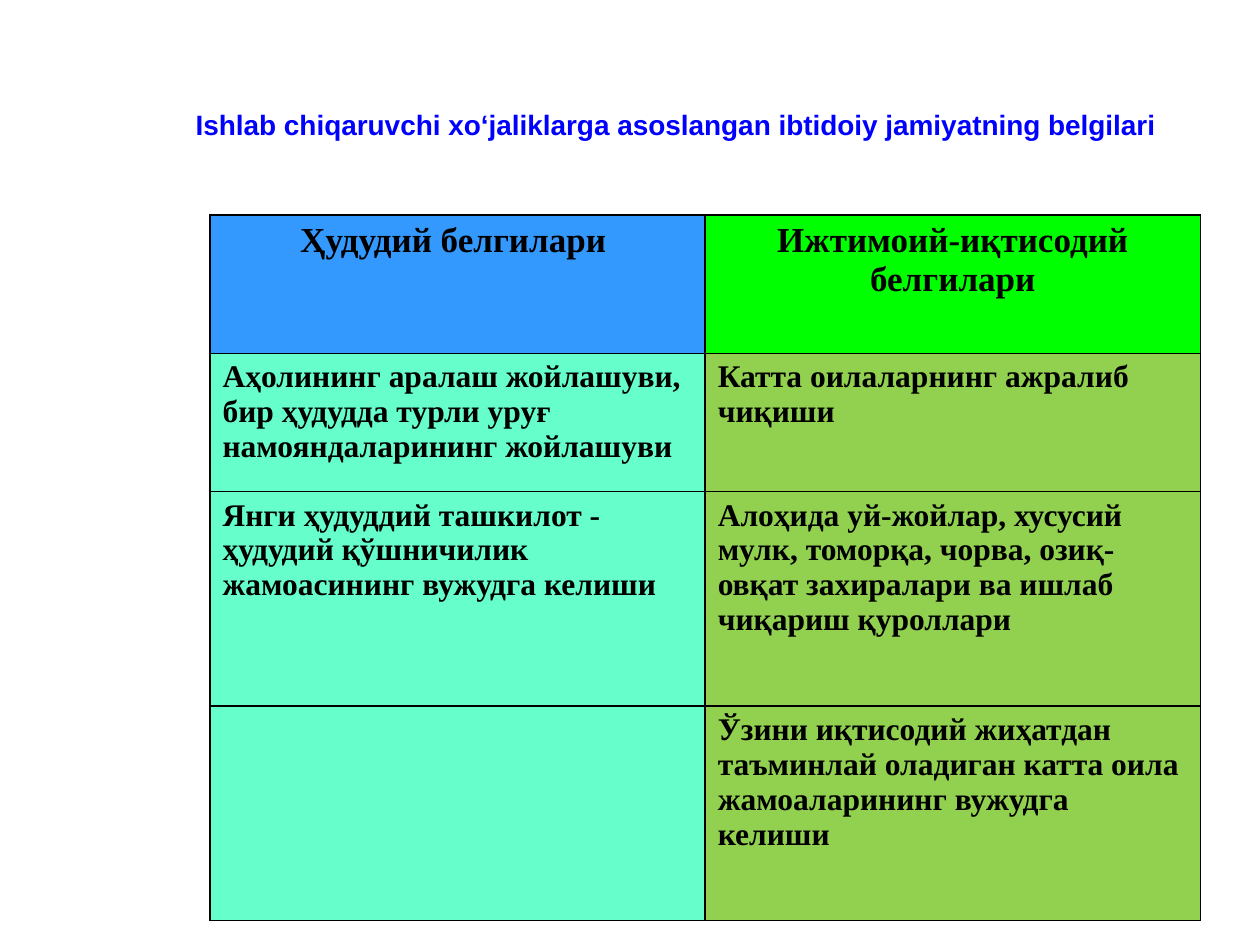
from dataclasses import dataclass

from lxml.etree import SubElement
from pptx import Presentation
from pptx.dml.color import RGBColor as Color
from pptx.enum.text import MSO_ANCHOR as Anchor, MSO_AUTO_SIZE as AutoSize, PP_ALIGN as Align
from pptx.oxml.ns import qn
from pptx.util import Pt


@dataclass(frozen=True)
class Theme:
    title_font: str = "Arial"
    table_font: str = "Times New Roman"
    title_size: int = 16
    header_size: int = 20
    body_size: int = 18
    title_color: str = "0000FF"
    ink: str = "000000"
    border_width: int = 1
    header_fills: tuple = ("3399FF", "00FF00")
    body_fills: tuple = ("66FFCC", "92D050")


class SlideBuilder:
    def __init__(self, deck, theme):
        self.theme = theme
        self.slide = deck.slides.add_slide(deck.slide_layouts[5])

    def format(self, target, values):
        for attribute, value in values.items():
            setattr(target, attribute, value)

    def text(self, paragraph, words, font, size, color, align):
        paragraph.alignment = align
        run = paragraph.add_run()
        run.text = words
        self.format(run.font, {"name": font, "size": Pt(size), "bold": True})
        run.font.color.rgb = Color.from_string(color)

    def title(self, words, left, top, width, height):
        heading = self.slide.shapes.title
        self.format(heading, {"left": Pt(left), "top": Pt(top),
                              "width": Pt(width), "height": Pt(height)})
        self.format(heading.text_frame, {"word_wrap": False,
                                         "auto_size": AutoSize.SHAPE_TO_FIT_TEXT,
                                         "vertical_anchor": Anchor.MIDDLE})
        theme = self.theme
        self.text(heading.text_frame.paragraphs[0], words, theme.title_font,
                  theme.title_size, theme.title_color, Align.CENTER)

    def borders(self, cell):
        properties = cell._tc.get_or_add_tcPr()
        for side in ("a:lnL", "a:lnR", "a:lnT", "a:lnB"):
            line = SubElement(properties, qn(side), w=str(Pt(self.theme.border_width)))
            ink = SubElement(line, qn("a:solidFill"))
            SubElement(ink, qn("a:srgbClr"), val=self.theme.ink)

    def cell(self, cell, words, size, fill, align):
        self.borders(cell)
        cell.fill.solid()
        cell.fill.fore_color.rgb = Color.from_string(fill)
        if words:
            self.text(cell.text_frame.paragraphs[0], words, self.theme.table_font,
                      size, self.theme.ink, align)

    def table(self, rows, left, top, width, row_heights):
        theme = self.theme
        grid = self.slide.shapes.add_table(
            len(rows), len(rows[0]), Pt(left), Pt(top), Pt(width), Pt(sum(row_heights))
        ).table
        self.format(grid, {"first_row": False, "horz_banding": False})
        for index, (row, height) in enumerate(zip(rows, row_heights)):
            grid.rows[index].height = Pt(height)
            size, fills, align = (
                (theme.body_size, theme.body_fills, Align.LEFT) if index
                else (theme.header_size, theme.header_fills, Align.CENTER)
            )
            for column, (words, fill) in enumerate(zip(row, fills)):
                self.cell(grid.cell(index, column), words, size, fill, align)


def main():
    deck = Presentation()
    deck.slide_width, deck.slide_height = Pt(720), Pt(540)
    builder = SlideBuilder(deck, Theme())
    builder.title(
        "Ishlab chiqaruvchi xo‘jaliklarga asoslangan ibtidoiy jamiyatning belgilari",
        left=96.5, top=57.6, width=579.6, height=26.6,
    )
    features = [
        ("Ҳудудий белгилари ", "Ижтимоий-иқтисодий белгилари"),
        ("Аҳолининг аралаш жойлашуви, бир ҳудудда турли уруғ намояндаларининг жойлашуви",
         "Катта оилаларнинг ажралиб чиқиши"),
        ("Янги ҳудуддий ташкилот - ҳудудий қўшничилик жамоасининг вужудга келиши",
         "Алоҳида уй-жойлар, хусусий мулк, томорқа, чорва, озиқ-овқат захиралари "
         "ва ишлаб чиқариш қуроллари"),
        ("",
         "Ўзини иқтисодий жиҳатдан таъминлай оладиган катта оила жамоаларининг "
         "вужудга келиши"),
    ]
    builder.table(features, left=120, top=123, width=566,
                  row_heights=(79, 79, 122.5, 122.5))
    deck.save("out.pptx")


if __name__ == "__main__":
    main()
